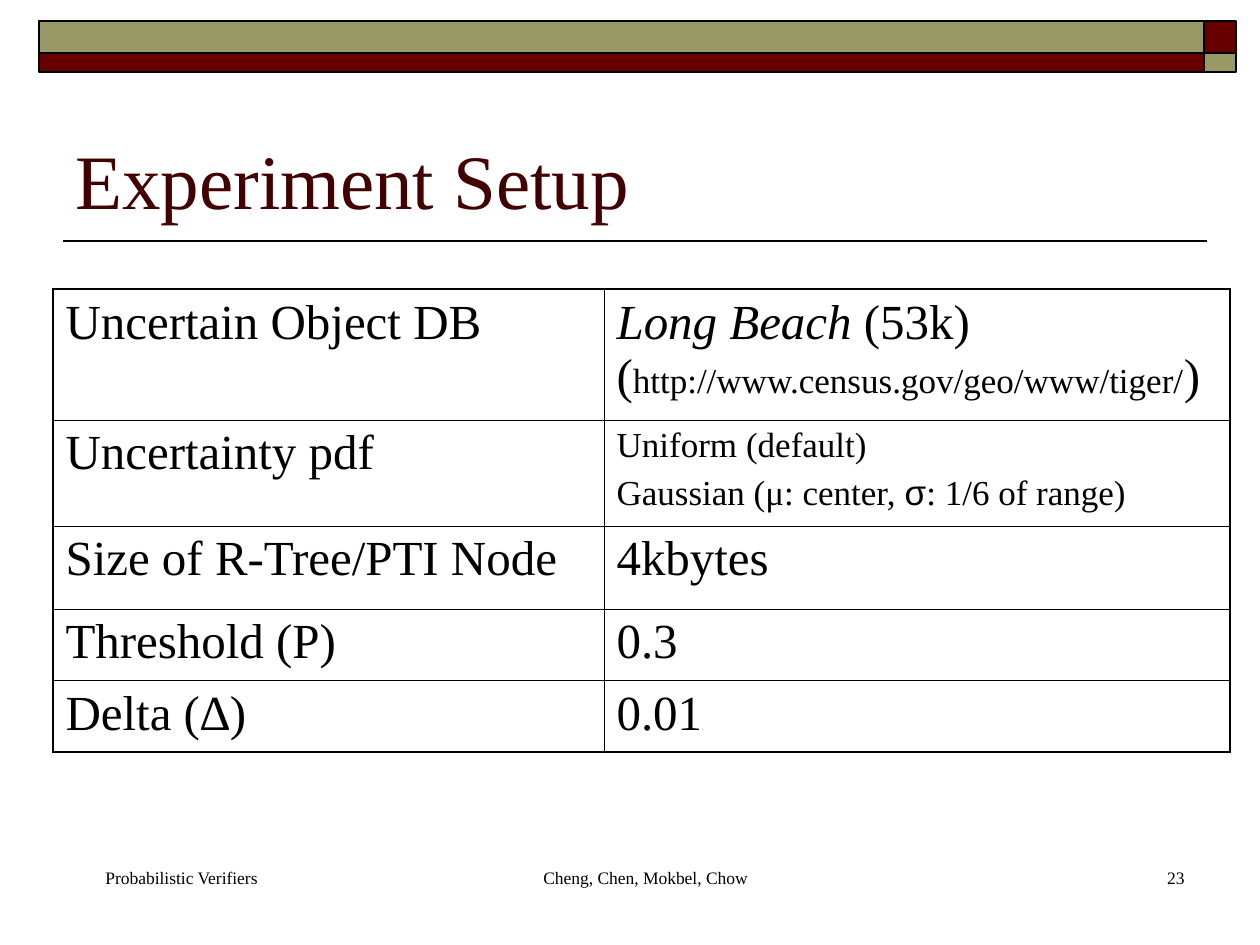
from lxml import etree
from pptx import Presentation
from pptx.dml.color import RGBColor
from pptx.enum.shapes import MSO_CONNECTOR, MSO_SHAPE
from pptx.enum.text import MSO_ANCHOR, PP_ALIGN
from pptx.oxml.ns import qn
from pptx.util import Pt

PX = 914400 / 126
RECT, LINE = MSO_SHAPE.RECTANGLE, MSO_CONNECTOR.STRAIGHT
LEFT, CENTER, RIGHT = PP_ALIGN.LEFT, PP_ALIGN.CENTER, PP_ALIGN.RIGHT
TOP, BOTTOM = MSO_ANCHOR.TOP, MSO_ANCHOR.BOTTOM
FONT = "Times New Roman"
COLORS = {"maroon": "660000", "olive": "999966", "title": "420000", "black": "000000"}
THICK, THIN = 1.08, 0.45
COLUMNS = (551, 626)
ROW_HEIGHTS = (131, 106, 83, 71, 71)
URL = "http://www.census.gov/geo/www/tiger/"
SETUP = [
    ("Uncertain Object DB",
     [[("Long Beach ", {"italic": True}), ("(53k)", {})],
      [("(", {}), (URL, {"size": Pt(20)}), (")", {})]]),
    ("Uncertainty pdf",
     [[("Uniform (default)", {})],
      [("Gaussian (μ: center, ", {}), ("σ", {"name": "Arial"}), (": 1/6 of range)", {})]]),
    ("Size of R-Tree/PTI Node", "4kbytes"),
    ("Threshold (P)", "0.3"),
    ("Delta (∆)", "0.01"),
]
FOOTERS = [
    (63, 231, "Probabilistic Verifiers", LEFT),
    (431, 399, "Cheng, Chen, Mokbel, Chow", CENTER),
    (935, 262, "23", RIGHT),
]


def px(*values):
    """Turn pixel lengths into EMU."""
    return [round(v * PX) for v in values]


def rgb(name):
    """Look up a named colour."""
    return RGBColor.from_string(COLORS[name])


def style(font, size, color="black"):
    """Set the face, size and colour of a font."""
    font.name, font.size = FONT, Pt(size)
    font.color.rgb = rgb(color)


def add_bar(slide, box, color):
    """Add an outlined rectangle of the header band."""
    s = slide.shapes.add_shape(RECT, *px(*box))
    s.shadow.inherit = False
    s.fill.solid()
    s.fill.fore_color.rgb = rgb(color)
    s.line.color.rgb = rgb("black")
    s.line.width = Pt(1)


def add_header(slide):
    """Add the two-tone band, with the colours swapped in the end blocks."""
    for y, h, main_color, end_color in ((21, 32, "olive", "maroon"), (53, 19, "maroon", "olive")):
        add_bar(slide, (39, y, 1165, h), main_color)
        add_bar(slide, (1204, y, 32, h), end_color)


def add_rule(slide, x1, x2, y):
    """Add the thin line under the title."""
    s = slide.shapes.add_connector(LINE, *px(x1, y, x2, y))
    s.line.color.rgb = rgb("black")
    s.line.width = Pt(1)
    etree.SubElement(s._element.spPr, qn("a:effectLst"))


def add_text(slide, box, text, size, color="black", align=LEFT, anchor=TOP, indent=0):
    """Add a one-paragraph text box."""
    tf = slide.shapes.add_textbox(*px(*box)).text_frame
    tf.word_wrap = True
    tf.vertical_anchor = anchor
    p = tf.paragraphs[0]
    p.text, p.alignment = text, align
    if indent:
        p._p.get_or_add_pPr().set("marL", str(px(indent)[0]))
    style(p.font, size, color)


def set_borders(cell, widths):
    """Draw the left, right, top and bottom borders of a cell."""
    tc_pr = cell._tc.get_or_add_tcPr()
    for i, (side, width) in enumerate(zip("LRTB", widths)):
        ln = etree.Element(qn(f"a:ln{side}"), w=str(Pt(width)))
        fill = etree.SubElement(ln, qn("a:solidFill"))
        etree.SubElement(fill, qn("a:srgbClr"), val=COLORS["black"])
        tc_pr.insert(i, ln)


def fill_cell(cell, content, size):
    """Write a plain string or a list of paragraphs made of runs."""
    paragraphs = [[(content, {})]] if isinstance(content, str) else content
    tf = cell.text_frame
    for i, runs in enumerate(paragraphs):
        p = tf.add_paragraph() if i else tf.paragraphs[0]
        if i and size == 20:
            p.space_before = Pt(5)
        style(p.font, size)
        for text, changes in runs:
            r = p.add_run()
            r.text = text
            style(r.font, size)
            for name, value in changes.items():
                setattr(r.font, name, value)


def add_setup_table(slide, x, y):
    """Add the table of experiment parameters."""
    last_row, last_col = len(SETUP) - 1, len(COLUMNS) - 1
    box = px(x, y, sum(COLUMNS), sum(ROW_HEIGHTS))
    table = slide.shapes.add_table(len(SETUP), len(COLUMNS), *box).table
    table.first_row = table.horz_banding = False
    for col, width in zip(table.columns, px(*COLUMNS)):
        col.width = width
    for row, height in zip(table.rows, px(*ROW_HEIGHTS)):
        row.height = height
    for i, contents in enumerate(SETUP):
        for j, content in enumerate(contents):
            cell = table.cell(i, j)
            cell.fill.background()
            outer = (j == 0, j == last_col, i == 0, i == last_row)
            set_borders(cell, [THICK if edge else THIN for edge in outer])
            fill_cell(cell, content, 20 if (i, j) == (1, 1) else 28)


def main():
    """Build the slide and save it."""
    prs = Presentation()
    prs.slide_width, prs.slide_height = px(1260, 945)
    slide = prs.slides.add_slide(prs.slide_layouts[6])
    add_rule(slide, 63, 1207, 241)
    add_header(slide)
    add_text(slide, (63, 73, 1134, 158), "Experiment Setup", 44, "title", anchor=BOTTOM)
    add_setup_table(slide, 53, 289)
    for x, w, text, align in FOOTERS:
        add_text(slide, (x, 861, w, 63), text, 10, align=align, indent=30)
    prs.save("out.pptx")


if __name__ == "__main__":
    main()
